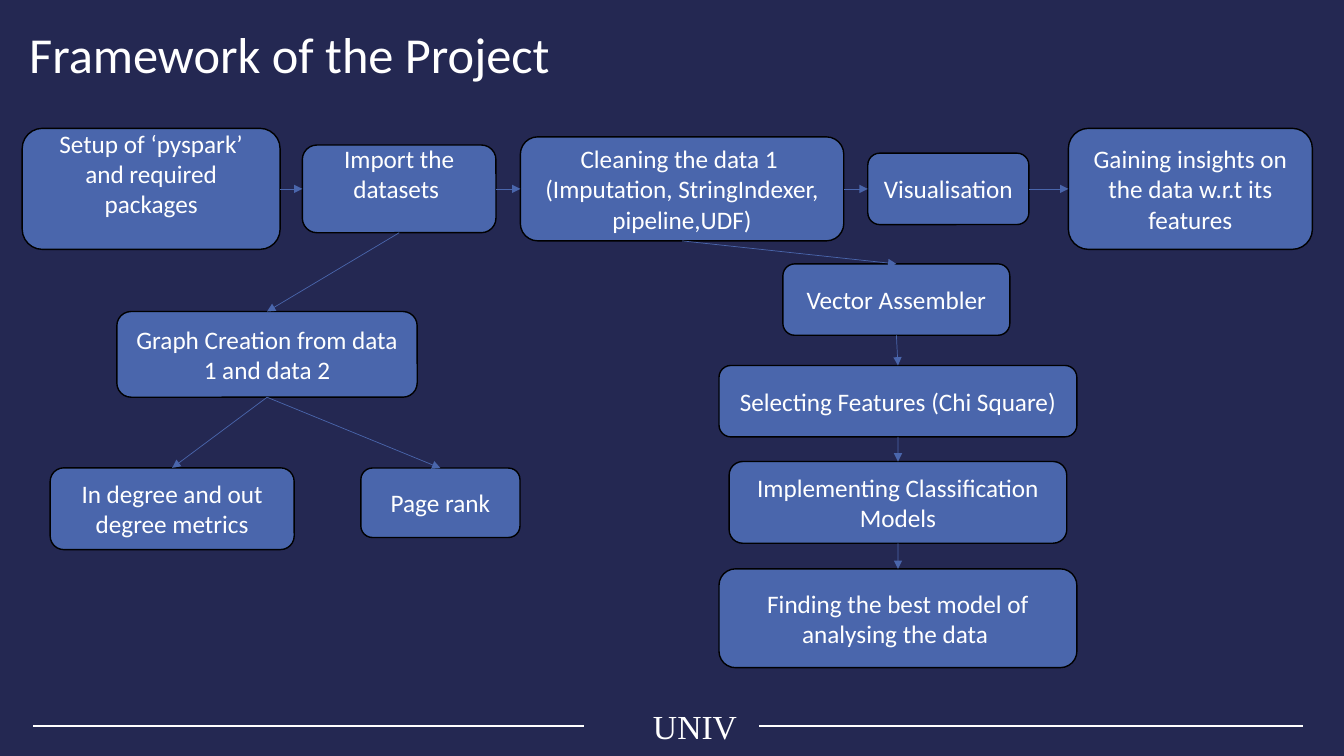
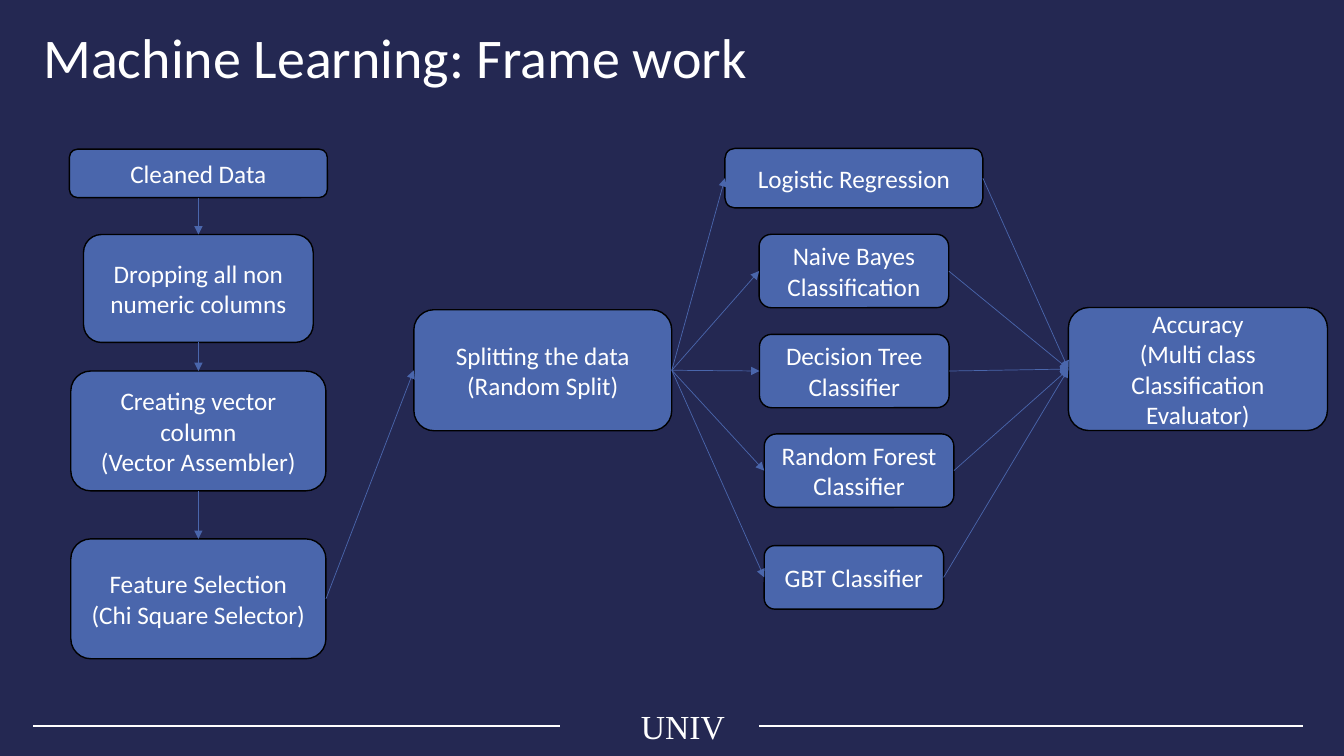
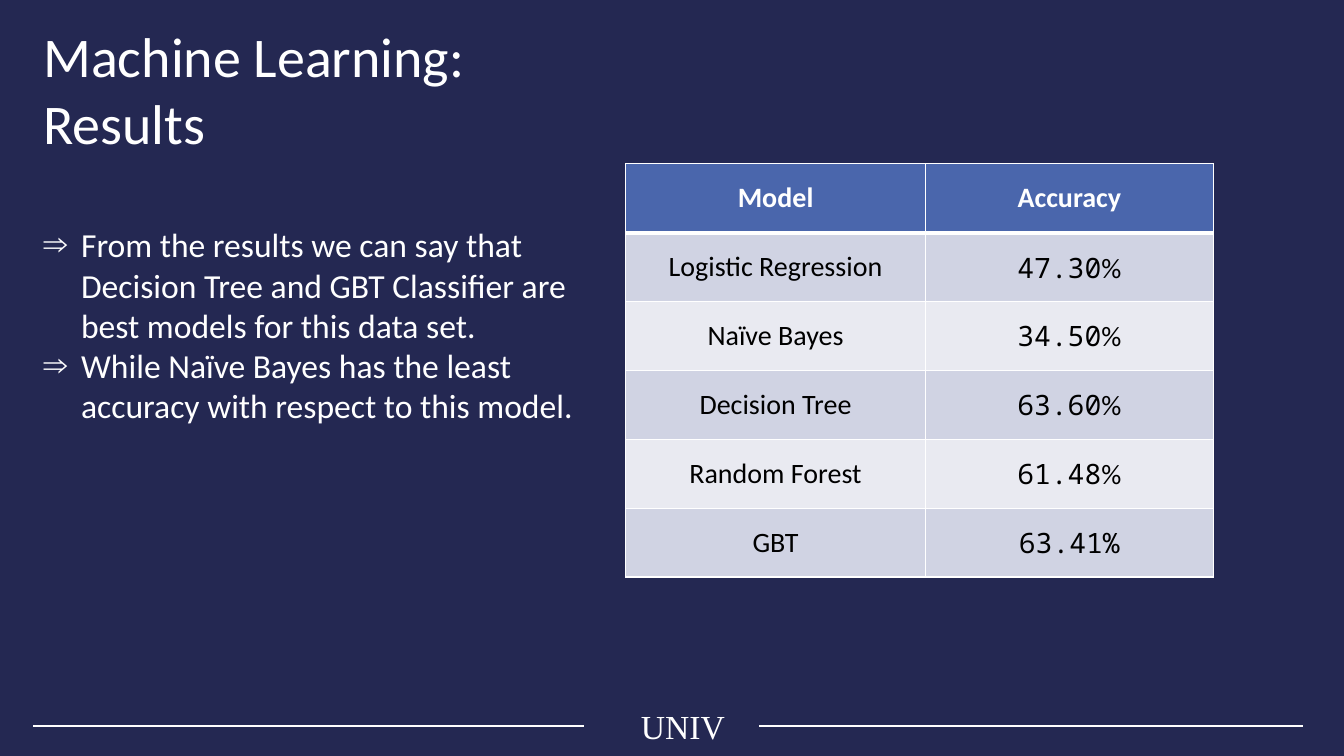
import lxml.etree
import pptx
import pptx.util
import pptx.dml.color
import pptx.enum.shapes
import pptx.enum.text
import pptx.oxml.ns

Cm, Pt = pptx.util.Cm, pptx.util.Pt
RGBColor = pptx.dml.color.RGBColor
PP_ALIGN = pptx.enum.text.PP_ALIGN
ANCHOR = pptx.enum.text.MSO_ANCHOR
CONNECTOR = pptx.enum.shapes.MSO_CONNECTOR

NAVY = RGBColor(0x24, 0x28, 0x52)
BLUE = RGBColor(0x4A, 0x66, 0xAC)
WHITE = RGBColor(0xFF, 0xFF, 0xFF)
BLACK = RGBColor(0x00, 0x00, 0x00)
ROW_BANDS = (RGBColor(0xD0, 0xD3, 0xE3), RGBColor(0xE9, 0xEA, 0xF1))

BOX_FONT = {"name": "Calibri", "size": Pt(18)}
BODY_FONT = {"name": "Calibri", "size": Pt(24)}
FOOTER_FONT = {"name": "Times New Roman", "size": Pt(24)}
HEADER_FONT = {"name": "Calibri", "size": Pt(20), "bold": True}
CELL_FONT = {"name": "Calibri", "size": Pt(20), "bold": False}
NUMBER_FONT = {"name": "Noto Sans Mono", "size": Pt(20), "bold": False}
TOP_TEXT = {"word_wrap": True, "vertical_anchor": ANCHOR.TOP,
            "auto_size": pptx.enum.text.MSO_AUTO_SIZE.NONE}
BOX_FRAME = {"word_wrap": True, "vertical_anchor": ANCHOR.MIDDLE}

TOP, LEFT, BOTTOM, RIGHT = range(4)
FOOTER_Y = 18.29
RAISED = 0.89  # bottom inset that lifts a label above the middle

# Each box: centre x, centre y, width, height, label (cm)
TOP_ROW, MODEL_X = 4.76, 22.63
PROJECT_BOXES = {
    "setup": (3.81, TOP_ROW, 6.5, 3.05, "Setup of ‘pyspark’ and required packages"),
    "import": (10.06, TOP_ROW, 4.88, 2.21, "Import the datasets "),
    "clean": (17.19, TOP_ROW, 8.15, 2.62,
              "Cleaning the data 1 \n(Imputation, StringIndexer, pipeline,UDF)"),
    "visual": (23.9, TOP_ROW, 4.06, 1.8, "Visualisation"),
    "insights": (30, TOP_ROW, 6.15, 3.05,
                 "Gaining insights on the data w.r.t its features"),
    "graph": (6.73, 8.93, 7.57, 2.16, "Graph Creation from data 1 and data 2"),
    "degrees": (4.34, 12.82, 6.15, 2.06, "In degree and out degree metrics"),
    "rank": (11.1, 12.67, 4.01, 1.75, "Page rank"),
    "vector": (22.59, 7.55, 5.72, 1.8, "Vector Assembler"),
    "select": (MODEL_X, 10.11, 9.02, 1.8, "Selecting Features (Chi Square)"),
    "classify": (MODEL_X, 12.66, 8.51, 2.06, "Implementing Classification Models"),
    "best": (MODEL_X, 15.58, 9.02, 2.49,
             "Finding the best model of analysing the data "),
}
PROJECT_ACROSS = [("setup", "import"), ("import", "clean"), ("clean", "visual"),
                  ("visual", "insights")]
PROJECT_DOWN = [("import", "graph"), ("graph", "degrees"), ("graph", "rank"),
                ("clean", "vector"), ("vector", "select"), ("select", "classify"),
                ("classify", "best")]

PREP_X, CLASSIFIER_X = 5, 21.52
LEARNING_BOXES = {
    "cleaned": (PREP_X, 4.37, 6.5, 1.22, "Cleaned Data"),
    "drop": (PREP_X, 7.27, 5.79, 2.72, "Dropping all non numeric columns"),
    "vector": (PREP_X, 10.86, 6.43, 3.02, "Creating vector column\n(Vector Assembler)"),
    "select": (PREP_X, 15.09, 6.43, 3.02, "Feature Selection\n(Chi Square Selector)"),
    "split": (13.68, 9.33, 6.5, 3.05, "Splitting the data\n(Random Split)"),
    "logistic": (CLASSIFIER_X, 4.49, 6.5, 1.5, "Logistic Regression"),
    "bayes": (CLASSIFIER_X, 6.83, 4.78, 1.85, "Naive Bayes Classification"),
    "tree": (21.53, 9.35, 4.78, 1.85, "Decision Tree Classifier"),
    "forest": (21.65, 11.86, 4.78, 1.85, "Random Forest Classifier"),
    "gbt": (CLASSIFIER_X, 14.55, 4.52, 1.6, "GBT Classifier"),
    "accuracy": (30.19, 9.3, 6.53, 3.1,
                 "Accuracy\n(Multi class Classification Evaluator)"),
}
CLASSIFIERS = ("logistic", "bayes", "tree", "forest", "gbt")
LEARNING_DOWN = [("cleaned", "drop"), ("drop", "vector"), ("vector", "select")]
LEARNING_ACROSS = ([("select", "split")]
                   + [("split", name) for name in CLASSIFIERS]
                   + [(name, "accuracy") for name in CLASSIFIERS])

CONCLUSIONS = (
    "From the results we can say that Decision Tree and GBT Classifier are "
    "best models for this data set.",
    "While Naïve Bayes has the least accuracy with respect to this model.",
)
# Each cell is a list of (text, font) runs
MODELS = [[(name, CELL_FONT)] for name in (
    "Logistic Regression", "Naïve Bayes", "Decision Tree", "Random Forest", "GBT")]
ACCURACIES = [[(number, NUMBER_FONT), ("%", CELL_FONT)]
              for number in ("47.30", "34.50", "63.60", "61.48")]
ACCURACIES.append([("63.41%", NUMBER_FONT)])


def set_values(target, values):
    for name, value in values.items():
        setattr(target, name, value)


def set_font(font, values, color=WHITE):
    set_values(font, values)
    font.color.rgb = color


def place(shape, left, top, width, height):
    set_values(shape, {"left": Cm(left), "top": Cm(top),
                       "width": Cm(width), "height": Cm(height)})


def add_xml(parent, tag, **attributes):
    return lxml.etree.SubElement(parent, pptx.oxml.ns.qn(tag), attributes)


def add_line(slide, start, end, color, weight):
    line = slide.shapes.add_connector(
        CONNECTOR.STRAIGHT, *(Cm(value) for value in start + end))
    line.line.color.rgb = color
    line.line.width = Pt(weight)
    add_xml(line._element.spPr, "a:effectLst")
    return line


def add_arrow(slide, source, source_side, target, target_side):
    arrow = add_line(slide, (0, 0), (0, 0), BLUE, 0.5)
    arrow.begin_connect(source, source_side)
    arrow.end_connect(target, target_side)
    add_xml(arrow.line._get_or_add_ln(), "a:tailEnd", type="triangle")


def add_box(slide, center_x, center_y, width, height, label):
    box = slide.shapes.add_shape(
        pptx.enum.shapes.MSO_SHAPE.ROUNDED_RECTANGLE,
        Cm(center_x - width / 2), Cm(center_y - height / 2), Cm(width), Cm(height))
    box.shadow.inherit = False
    box.fill.solid()
    box.fill.fore_color.rgb = BLUE
    box.line.color.rgb = BLACK
    box.line.width = Pt(1)
    set_values(box.text_frame, BOX_FRAME)
    box.text_frame.text = label
    for paragraph in box.text_frame.paragraphs:
        paragraph.alignment = PP_ALIGN.CENTER
        set_font(paragraph.runs[0].font, BOX_FONT)
    return box


def add_flow(slide, boxes, across, down):
    """Draw the boxes, then the arrows between their sides."""
    drawn = {name: add_box(slide, *box) for name, box in boxes.items()}
    for pairs, out_side, in_side in ((across, RIGHT, LEFT), (down, BOTTOM, TOP)):
        for source, target in pairs:
            add_arrow(slide, drawn[source], out_side, drawn[target], in_side)
    return drawn


def add_footer(slide, left_line_end, alignment):
    name = slide.shapes.add_textbox(Cm(15.9), Cm(17.66), Cm(3.23), Cm(1.27))
    name.text_frame.word_wrap = True
    paragraph = name.text_frame.paragraphs[0]
    paragraph.text = "UNIV"
    paragraph.alignment = alignment
    set_font(paragraph.runs[0].font, FOOTER_FONT)
    for start, end in ((0.84, left_line_end), (19.13, 32.83)):
        add_line(slide, (start, FOOTER_Y), (end, FOOTER_Y), WHITE, 1.5)


def add_slide(deck, layout, title, title_box, title_size, left_line_end,
              footer_alignment=PP_ALIGN.LEFT):
    slide = deck.slides.add_slide(deck.slide_layouts[layout])
    heading = slide.shapes.title
    place(heading, *title_box)
    heading.text_frame.text = title
    set_values(heading.text_frame, TOP_TEXT)
    paragraph = heading.text_frame.paragraphs[0]
    paragraph.alignment = PP_ALIGN.LEFT
    set_font(paragraph.runs[0].font, {"name": "Calibri", "size": Pt(title_size)})
    add_footer(slide, left_line_end, footer_alignment)
    return slide


def add_conclusions(slide):
    body = slide.placeholders[1]
    place(body, 0.84, 5.52, 14.35, 5.43)
    body.text_frame.text = "\n".join(CONCLUSIONS)
    set_values(body.text_frame, TOP_TEXT)
    for paragraph in body.text_frame.paragraphs:
        paragraph.space_before = Pt(0)
        set_font(paragraph.runs[0].font, BODY_FONT)
        properties = paragraph._p.get_or_add_pPr()
        properties.set("marL", str(Cm(0.95)))
        properties.set("indent", str(-Cm(0.95)))
        add_xml(properties, "a:buChar", char="⇒")


def fill_cell(cell, runs, fill, color, top=1, bottom=1):
    """Write (text, font) runs in a cell with white borders."""
    for side, weight in (("L", 1), ("R", 1), ("T", top), ("B", bottom)):
        border = add_xml(cell._tc.get_or_add_tcPr(), f"a:ln{side}", w=str(Pt(weight)))
        add_xml(add_xml(border, "a:solidFill"), "a:srgbClr", val=str(WHITE))
    cell.fill.solid()
    cell.fill.fore_color.rgb = fill
    cell.vertical_anchor = ANCHOR.MIDDLE
    paragraph = cell.text_frame.paragraphs[0]
    paragraph.alignment = PP_ALIGN.CENTER
    for text, font in runs:
        run = paragraph.add_run()
        run.text = text
        set_font(run.font, font, color)


def add_column_table(slide, left, width, header, entries):
    table = slide.shapes.add_table(len(entries) + 1, 1, Cm(left), Cm(4.13),
                                   Cm(width), Cm(10.41)).table
    fill_cell(table.cell(0, 0), [(header, HEADER_FONT)], BLUE, WHITE, bottom=3)
    for index, runs in enumerate(entries):
        fill_cell(table.cell(index + 1, 0), runs, ROW_BANDS[index % 2], BLACK,
                  top=1 if index else 3)


def main():
    deck = pptx.Presentation()
    deck.slide_width, deck.slide_height = Cm(33.87), Cm(19.05)
    background = deck.slide_master.background.fill
    background.solid()
    background.fore_color.rgb = NAVY

    project = add_slide(deck, 5, "Framework of the Project",
                        (0.48, 0.46, 32.66, 1.8), 36, 14.71, PP_ALIGN.CENTER)
    steps = add_flow(project, PROJECT_BOXES, PROJECT_ACROSS, PROJECT_DOWN)
    for name in ("setup", "import"):
        steps[name].text_frame.margin_bottom = Cm(RAISED)

    learning = add_slide(deck, 5, "Machine Learning: Frame work",
                         (0.84, 0.43, 31.06, 1.96), 40, 14.12)
    add_flow(learning, LEARNING_BOXES, LEARNING_ACROSS, LEARNING_DOWN)

    results = add_slide(deck, 1, "Machine Learning: Results",
                        (0.84, 0.42, 14.35, 3.7), 40, 14.71)
    add_conclusions(results)
    add_column_table(results, 15.77, 7.55, "Model", MODELS)
    add_column_table(results, 23.32, 7.26, "Accuracy", ACCURACIES)

    deck.save("out.pptx")


if __name__ == "__main__":
    main()
